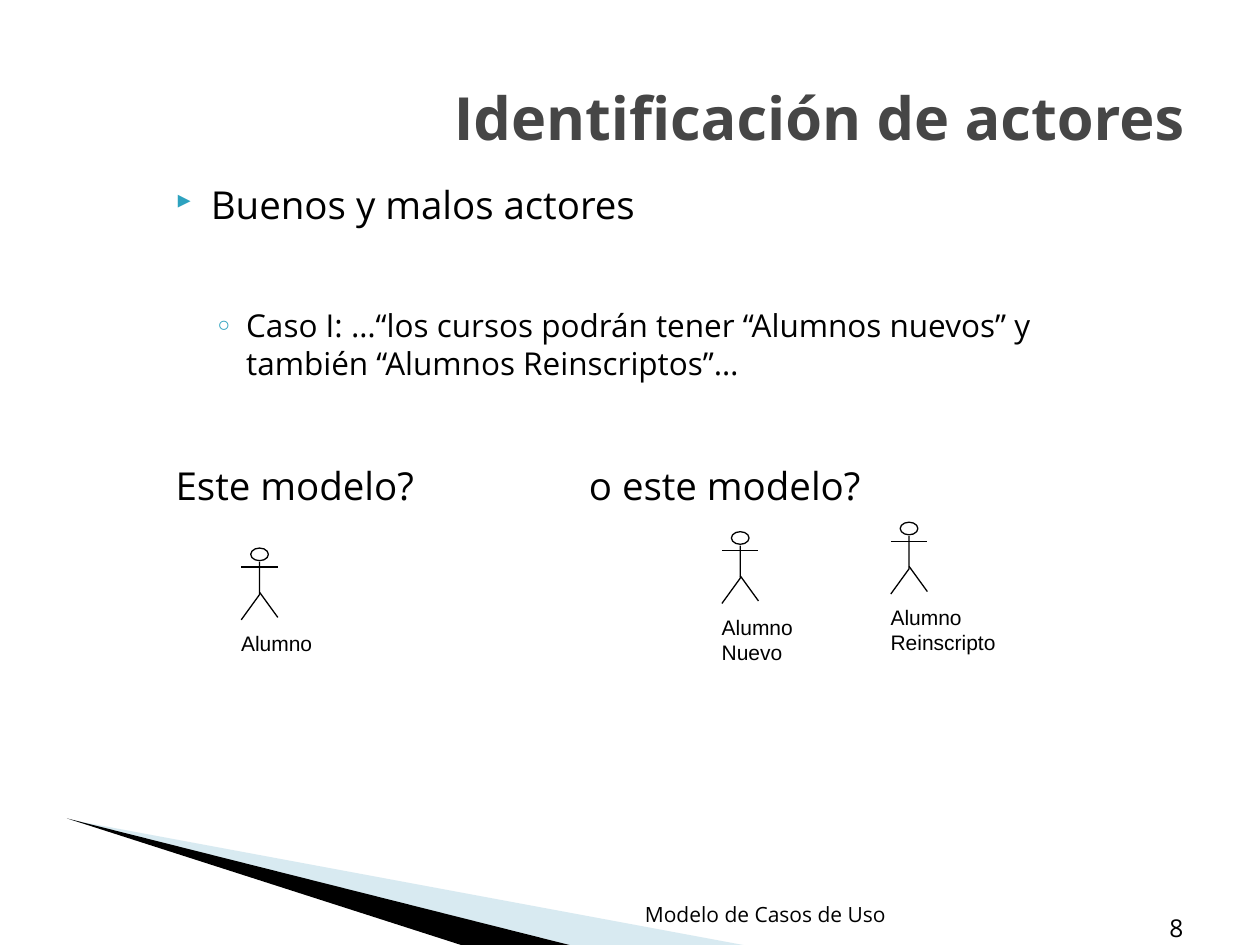
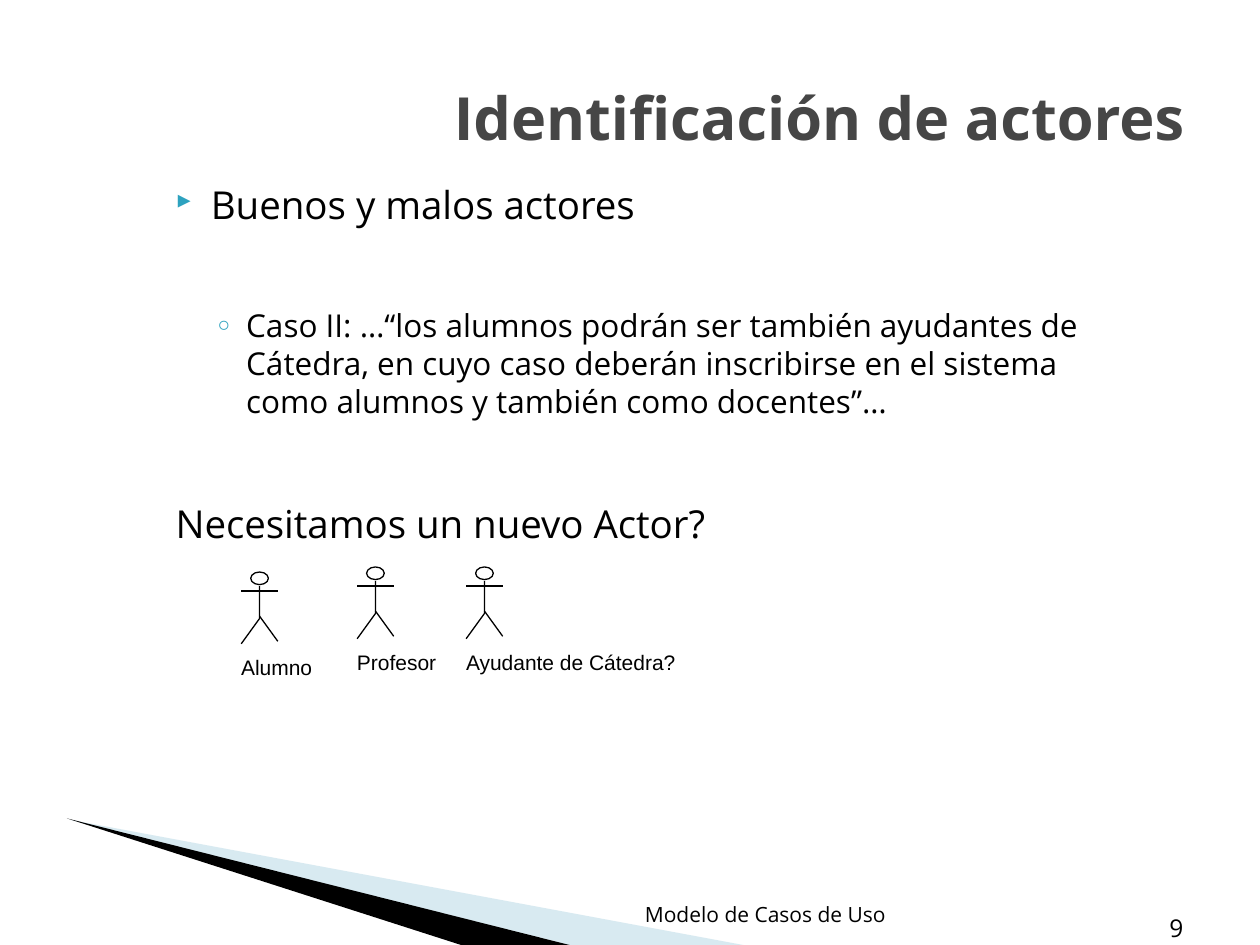
import lxml.etree
import pptx
import pptx.dml.color
import pptx.enum.shapes
import pptx.enum.text
import pptx.oxml.ns
import pptx.util

rgb = pptx.dml.color.RGBColor.from_string
qn = pptx.oxml.ns.qn
Pt = pptx.util.Pt
ALIGN = pptx.enum.text.PP_ALIGN
ANCHOR = pptx.enum.text.MSO_ANCHOR
BLACK, WHITE, GREY, TEAL, PALE = "000000", "FFFFFF", "464646", "2DA2BF", "9FCBDC"
FONT = "Open Sans"

prs = pptx.Presentation()
prs.slide_width = pptx.util.Inches(10)
prs.slide_height = pptx.util.Inches(7.5)
unit = prs.slide_width / 100


def grid(*cells):
    return [round(c * unit) for c in cells]


def add_run(p, text, size, font=FONT, color=BLACK, bold=False):
    r = p.add_run()
    r.text = text
    r.font.size = Pt(size)
    r.font.name = font
    r.font.bold = bold
    r.font.color.rgb = rgb(color)


bands = [
    (PALE, 40, [(5.5, 65.05), (59, 75), (45.2, 75)]),
    (BLACK, 100, [(5.3, 64.95), (45.2, 75), (36.6, 75)]),
]

footers = [
    ((47.9, 70.05, 25.7, 4), ALIGN.CENTER, 12),
    ((90.2, 71.3, 4.7, 4), ALIGN.RIGHT, 14),
]

triangle = {"char": "}", "size": 68, "font": {"typeface": "Wingdings 3", "charset": "2"}}
ring = {"char": "◦", "size": 100, "font": {"typeface": "Verdana"}}

slides = [
    {
        "number": "8",
        "case": "Caso I: …“los cursos podrán tener “Alumnos nuevos” y también “Alumnos Reinscriptos”…",
        "question": "Este modelo?\t\to este modelo?",
        "actors": [
            (19.15, 43.5, 7.7, ["Alumno"]),
            (57.3, 42.2, 7.7, ["Alumno", "Nuevo"]),
            (70.7, 41.45, 10.4, ["Alumno", "Reinscripto"]),
        ],
    },
    {
        "number": "9",
        "case": "Caso II: …“los alumnos podrán ser también ayudantes de Cátedra, en cuyo caso deberán inscribirse en el sistema como alumnos y también como docentes”…",
        "question": "Necesitamos un nuevo Actor?",
        "actors": [
            (19.15, 45.4, 7.7, ["Alumno"]),
            (28.35, 45, 8.4, ["Profesor"]),
            (37, 45, 18.8, ["Ayudante de Cátedra?"]),
        ],
    },
]

for content in slides:
    s = prs.slides.add_slide(prs.slide_layouts[5])

    for color, opacity, points in bands:
        corners = [grid(*point) for point in points]
        builder = s.shapes.build_freeform(*corners[0])
        builder.add_line_segments(corners[1:])
        sp = builder.convert_to_shape()
        sp.shadow.inherit = False
        sp.line.fill.background()
        sp.fill.solid()
        sp.fill.fore_color.rgb = rgb(color)
        if opacity < 100:
            srgb = next(sp._element.spPr.iter(qn("a:srgbClr")))
            lxml.etree.SubElement(srgb, qn("a:alpha"), val=str(opacity * 1000))

    title = s.shapes.title
    title.left, title.top, title.width, title.height = grid(5, 3, 90, 12.5)
    tf = title.text_frame
    tf.vertical_anchor = ANCHOR.MIDDLE
    p = tf.paragraphs[0]
    p.alignment = ALIGN.RIGHT
    add_run(p, "Identificación de actores", 34, color=GREY, bold=True)

    tf = s.shapes.add_textbox(*grid(11.75, 13.9, 78.1, 47.5)).text_frame
    tf.word_wrap = True
    body = [
        ("Buenos y malos actores", 22, 0, 4, -2.8, triangle),
        (content["case"], 18, 45, 6.8, -2.5, ring),
        (content["question"], 22, 46, 4, -2.8, None),
    ]
    for i, (text, size, before, margin, indent, bullet) in enumerate(body):
        p = tf.add_paragraph() if i else tf.paragraphs[0]
        p.space_before = Pt(before)
        pPr = p._p.get_or_add_pPr()
        for name, value in zip(("marL", "indent", "defTabSz"), grid(margin, indent, 10)):
            pPr.set(name, str(value))
        if bullet:
            tint = lxml.etree.SubElement(pPr, qn("a:buClr"))
            lxml.etree.SubElement(tint, qn("a:srgbClr"), val=TEAL)
            lxml.etree.SubElement(pPr, qn("a:buSzPct"), val=str(bullet["size"] * 1000))
            lxml.etree.SubElement(pPr, qn("a:buFont"), bullet["font"])
            lxml.etree.SubElement(pPr, qn("a:buChar"), char=bullet["char"])
        else:
            lxml.etree.SubElement(pPr, qn("a:buNone"))
        add_run(p, text, size)

    for x, y, width, label in content["actors"]:
        actor = s.shapes.add_group_shape().shapes
        middle, right = x + 1.45, x + 2.9
        head = actor.add_shape(
            pptx.enum.shapes.MSO_SHAPE.OVAL, *grid(middle - 0.7, y, 1.4, 1))
        head.fill.solid()
        head.fill.fore_color.rgb = rgb(WHITE)
        straight = pptx.enum.shapes.MSO_CONNECTOR.STRAIGHT
        arms = actor.add_connector(straight, *grid(x, y + 1.5, right, y + 1.5))
        leg = actor.add_connector(straight, *grid(middle, y + 3.5, right, y + 5.5))
        builder = actor.build_freeform(*grid(middle, y + 1.1))
        builder.add_line_segments(
            [grid(middle, y + 3.7), grid(x, y + 5.7)], close=False)
        trunk = builder.convert_to_shape()
        trunk.fill.background()
        for sp in (head, arms, leg, trunk):
            sp.line.color.rgb = rgb(BLACK)
            sp.line.width = Pt(0.75)
            lxml.etree.SubElement(sp._element.spPr, qn("a:effectLst"))

        tf = actor.add_textbox(
            *grid(x - 1, y + 6.05, width, 1 + 2 * len(label))).text_frame
        tf.word_wrap = False
        for i, line in enumerate(label):
            p = tf.add_paragraph() if i else tf.paragraphs[0]
            add_run(p, line, 12, font="Arial")

    texts = ["Modelo de Casos de Uso", content["number"]]
    for text, (place, alignment, size) in zip(texts, footers):
        tf = s.shapes.add_textbox(*grid(*place)).text_frame
        tf.word_wrap = True
        tf.vertical_anchor = ANCHOR.BOTTOM
        p = tf.paragraphs[0]
        p.alignment = alignment
        add_run(p, text, size)

prs.save("out.pptx")
